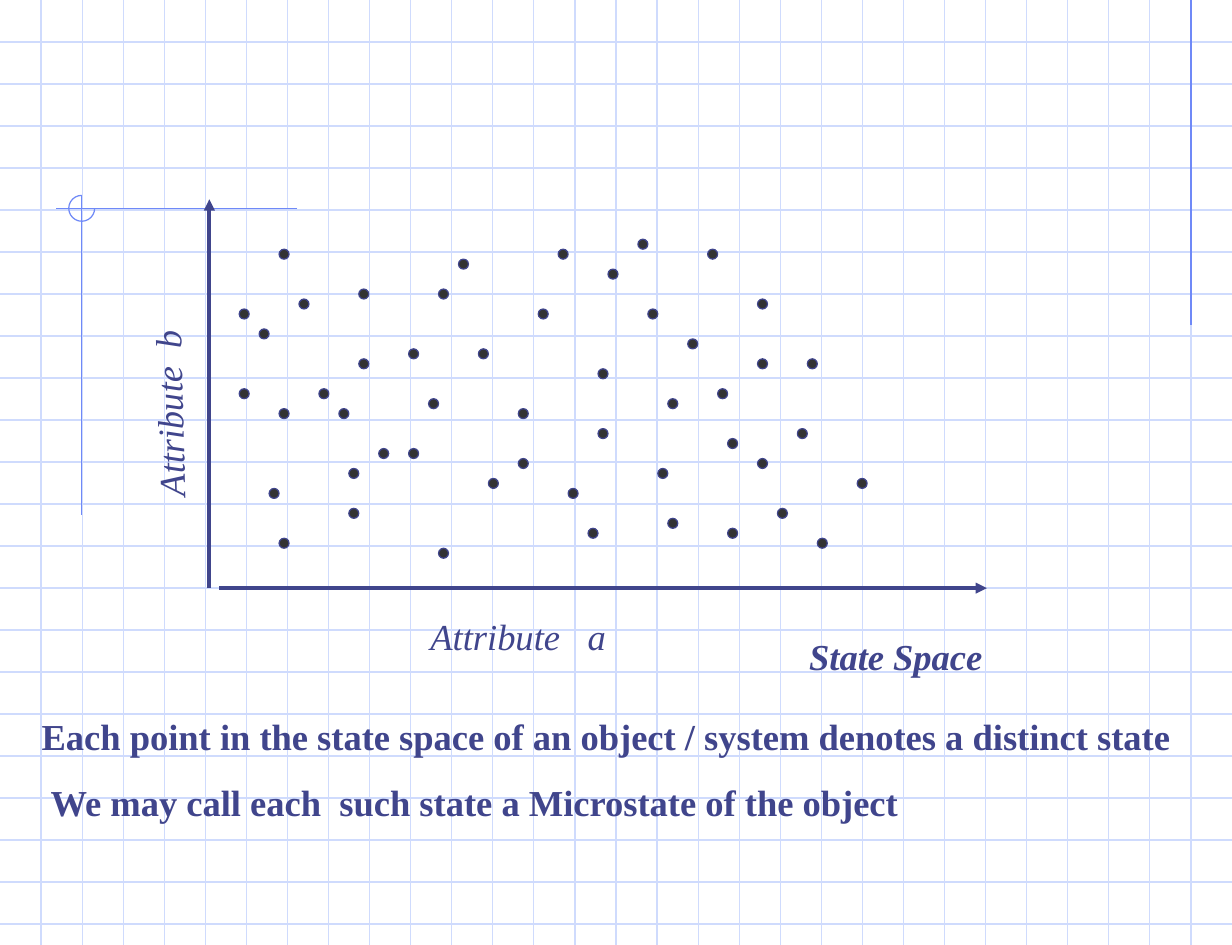
from pptx import Presentation
from pptx.dml.color import RGBColor
from pptx.enum.shapes import MSO_CONNECTOR, MSO_SHAPE
from pptx.enum.text import MSO_AUTO_SIZE
from pptx.oxml.ns import qn
from pptx.util import Pt
from lxml.etree import SubElement

PX = 7620  # 120 px to the inch
WIDE, HIGH = 1236, 948
FONT = "Times New Roman"
GRID = RGBColor(0xCF, 0xDB, 0xFD)
GUIDE = RGBColor(0x6F, 0x89, 0xF7)
INK = RGBColor(0x40, 0x45, 0x8C)
DOT = RGBColor(0x33, 0x33, 0x33)

# Column and row of each state, in steps from the plot's top left
STEP = 10
STATES = [
    (3, 11), (3, 19), (55, 10), (9, 10), (15, 9), (20, 15), (15, 16),
    (65, 28), (11, 19), (6, 29), (7, 21), (27, 15), (14, 31), (14, 27),
    (31, 26), (33, 11), (20, 25), (31, 21), (39, 17), (48, 14), (43, 4),
    (60, 16), (50, 5), (13, 21), (59, 23), (17, 25), (45, 27), (5, 13),
    (55, 16), (7, 34), (44, 11), (7, 5), (39, 23), (25, 6), (22, 20),
    (23, 35), (28, 28), (46, 20), (36, 29), (51, 19), (55, 26), (46, 32),
    (38, 33), (52, 33), (40, 7), (23, 9), (35, 5), (57, 31), (52, 24),
    (61, 34),
]


def emu(*sizes):
    return [round(size * PX) for size in sizes]


def add_line(slide, x1, y1, x2, y2, color, width=0.75, arrow=False):
    line = slide.shapes.add_connector(
        MSO_CONNECTOR.STRAIGHT, *emu(x1, y1, x2, y2))
    line.line.color.rgb = color
    line.line.width = Pt(width)
    if arrow:
        SubElement(line.line._get_or_add_ln(), qn("a:tailEnd"), type="triangle")
    SubElement(line._element.spPr, qn("a:effectLst"))


def add_oval(slide, kind, x, y, size, color, fill=None):
    oval = slide.shapes.add_shape(kind, *emu(x, y, size, size))
    oval.shadow.inherit = False
    oval.line.color.rgb = color
    oval.line.width = Pt(0.75)
    if fill is None:
        oval.fill.background()
    else:
        oval.fill.solid()
        oval.fill.fore_color.rgb = fill
    return oval


def add_text(slide, x, y, w, h, paras, bold=False, italic=False):
    """Each paragraph is (indent, runs); each run is (words, spacing in pt)."""
    box = slide.shapes.add_textbox(*emu(x, y, w, h))
    frame = box.text_frame
    frame.word_wrap = True
    frame.auto_size = MSO_AUTO_SIZE.SHAPE_TO_FIT_TEXT
    for n, (indent, runs) in enumerate(paras):
        para = frame.add_paragraph() if n else frame.paragraphs[0]
        if n:
            para.space_before = Pt(13.8)
        if indent:
            para._p.get_or_add_pPr().set("marL", str(indent * PX))
        for words, space in runs:
            run = para.add_run()
            run.text = words
            font = run.font
            font.name, font.size = FONT, Pt(22)
            font.bold, font.italic = bold, italic
            font.color.rgb = INK
            if space:
                run._r.get_or_add_rPr().set("spc", str(round(space * 100)))
    return box


def draw_paper(slide, x, y, w, h):
    # Squared paper
    row, col = h / 22.5, w / 30
    for n in range(1, 23):
        add_line(slide, x, y + n * row, x + w, y + n * row, GRID)
    for n in range(1, 30):
        add_line(slide, x + n * col, y, x + n * col, y + h, GRID)
    # Guide lines
    left, top = x + 82, y + 209
    add_line(slide, x + 29 * col, y, x + 29 * col, y + 326, GUIDE)
    add_line(slide, x + 298, top, x + 56, top, GUIDE)
    add_line(slide, left, top - 13, left, y + 517, GUIDE)
    # Three quarters of a ring where the guides cross
    ring = add_oval(slide, MSO_SHAPE.ARC, left - 13, top - 13, 26, GUIDE)
    ring.adjustments[0] = 0
    ring.adjustments[1] = 162


def draw_plot(slide, x, y, w, h):
    # Axes
    base = y + h
    add_line(slide, x + 10, base, x + w, base, INK, 2.25, True)
    add_line(slide, x, base, x, y, INK, 2.25, True)
    # States
    for col, row in STATES:
        add_oval(slide, MSO_SHAPE.OVAL, x + col * STEP, y + row * STEP,
                 STEP, INK, DOT)
    # Axis names and title
    side = add_text(slide, x - 146, y + 177, 210, 56,
                    [(0, [("Attribute", 0), (" ", 5.5), ("b", 0)])],
                    italic=True)
    side.rotation = 268.5
    add_text(slide, x + 210, base + 20, 210, 56,
             [(0, [("Attribute", 0), (" ", 11), ("a", 0)])], italic=True)
    add_text(slide, x + 590, base + 40, 330, 56,
             [(0, [("State Space", 0)])], bold=True, italic=True)


def draw_notes(slide, x, y, w, h):
    # Two statements
    add_text(slide, x, y, w, h, [
        (0, [("Each point in the state space of an object / system "
              "denotes a distinct state", 0)]),
        (9, [("We may call each", 0), (" ", 5.5),
             ("such state a Microstate of the object", 0)]),
    ], bold=True)


def main():
    deck = Presentation()
    deck.slide_width, deck.slide_height = emu(WIDE, HIGH)
    slide = deck.slides.add_slide(deck.slide_layouts[6])
    draw_paper(slide, 0, 0, WIDE, HIGH)
    draw_plot(slide, 210, 200, 780, 390)
    draw_notes(slide, 30, 710, 1170, 124)
    deck.save("out.pptx")


if __name__ == "__main__":
    main()
